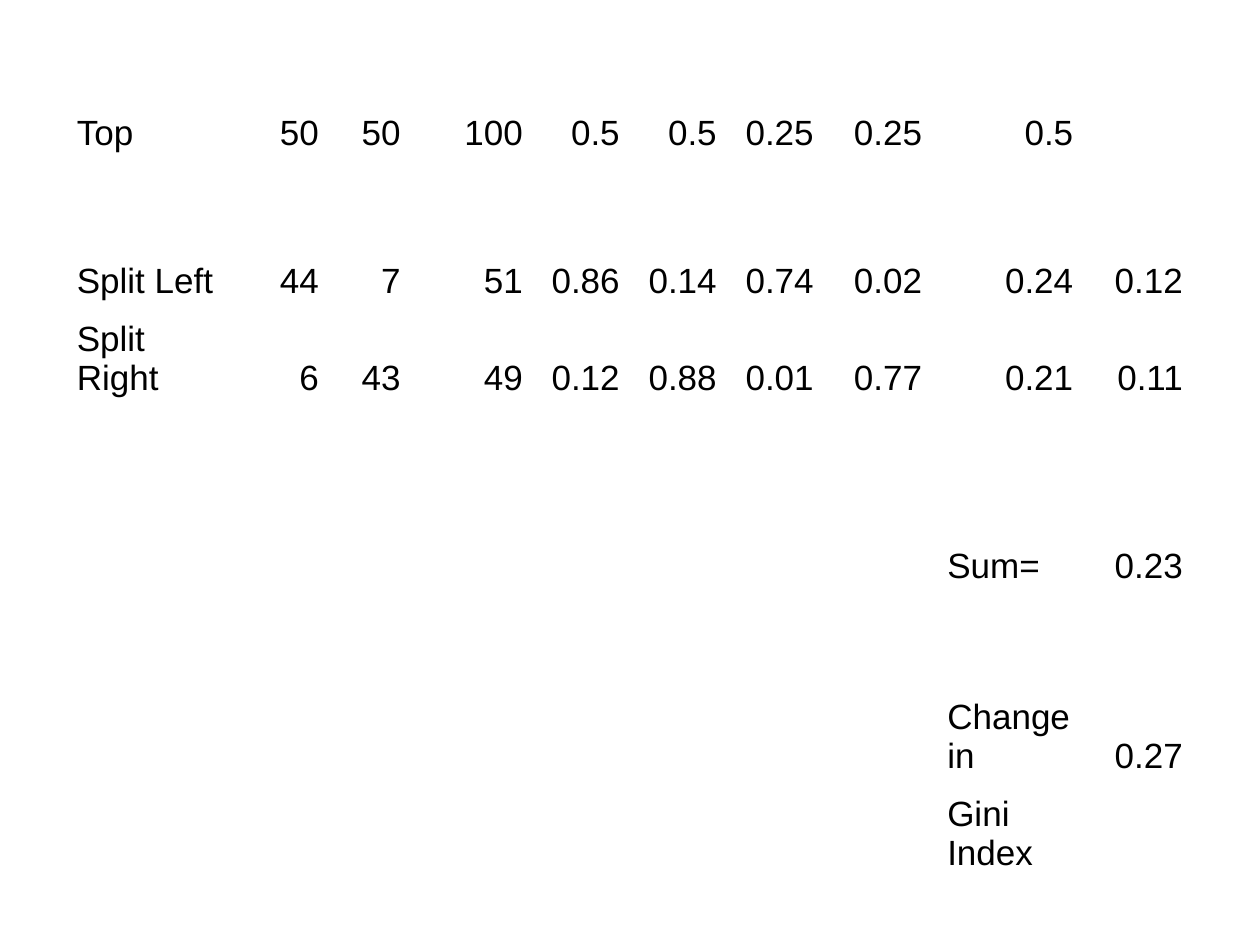
import pptx
import pptx.dml.color
import pptx.enum.text
import pptx.oxml.ns
import pptx.util

BLACK = pptx.dml.color.RGBColor(0x00, 0x00, 0x00)
PLAIN_STYLE = "{2D5ABB26-0587-4C30-8999-92F81FD0307C}"
COLUMN_WIDTHS = [1.35, 0.77, 0.65, 0.97, 0.77, 0.77, 0.77, 0.86, 1.2, 0.87]
ROW_HEIGHTS = [0.82, 0.74, 0.44, 0.77, 0.75, 0.74, 0.74, 0.77, 0.77]
LABEL_COLUMN = 8
GINI_ROWS = {
    0: (0, ["Top", "50", "50", "100", "0.5", "0.5", "0.25", "0.25", "0.5"]),
    2: (0, ["Split Left", "44", "7", "51", "0.86", "0.14", "0.74", "0.02", "0.24", "0.12"]),
    3: (0, ["Split Right", "6", "43", "49", "0.12", "0.88", "0.01", "0.77", "0.21", "0.11"]),
    5: (LABEL_COLUMN, ["Sum=", "0.23"]),
    7: (LABEL_COLUMN, ["Change in", "0.27"]),
    8: (LABEL_COLUMN, ["Gini Index"]),
}

deck = pptx.Presentation()
deck.slide_width = pptx.util.Inches(10)
deck.slide_height = pptx.util.Inches(7.5)
page = deck.slides.add_slide(deck.slide_layouts[6])

frame = page.shapes.add_table(
    len(ROW_HEIGHTS), len(COLUMN_WIDTHS),
    pptx.util.Inches(0.51), pptx.util.Inches(0.44),
    pptx.util.Inches(sum(COLUMN_WIDTHS)), pptx.util.Inches(sum(ROW_HEIGHTS)))
table = frame.table
table.first_row = False
table.horz_banding = False
style = next(frame.element.iter(pptx.oxml.ns.qn("a:tableStyleId")))
style.text = PLAIN_STYLE

for column, width in zip(table.columns, COLUMN_WIDTHS):
    column.width = pptx.util.Inches(width)
for row, height in zip(table.rows, ROW_HEIGHTS):
    row.height = pptx.util.Inches(height)
for cell in table.iter_cells():
    cell.fill.background()

for row_index, (first_column, texts) in GINI_ROWS.items():
    for column_index, text in enumerate(texts, first_column):
        cell = table.cell(row_index, column_index)
        cell.text = text
        cell.vertical_anchor = pptx.enum.text.MSO_ANCHOR.BOTTOM
        para = cell.text_frame.paragraphs[0]
        is_number = text[0].isdigit()
        para.alignment = pptx.enum.text.PP_ALIGN.RIGHT if is_number else pptx.enum.text.PP_ALIGN.LEFT
        para.font.name = "Arial"
        para.font.size = pptx.util.Pt(20)
        para.font.color.rgb = BLACK

deck.save("out.pptx")
